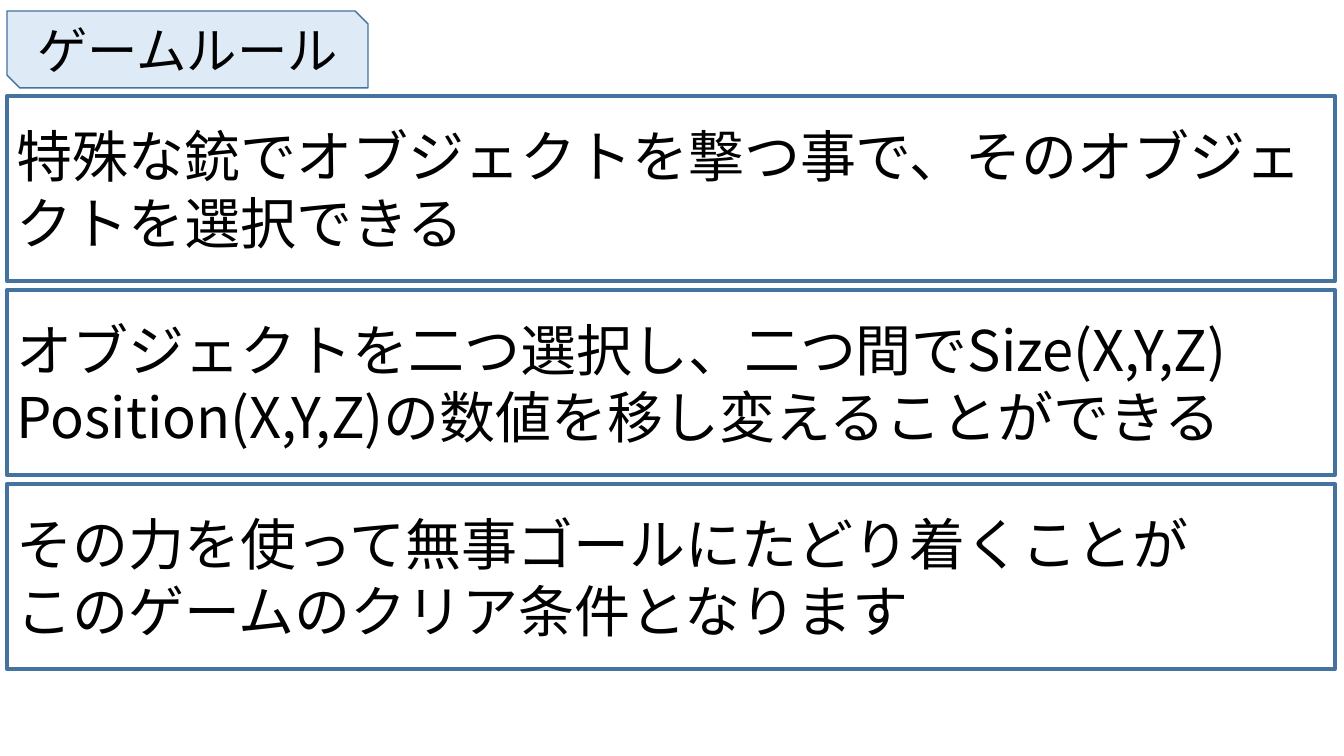
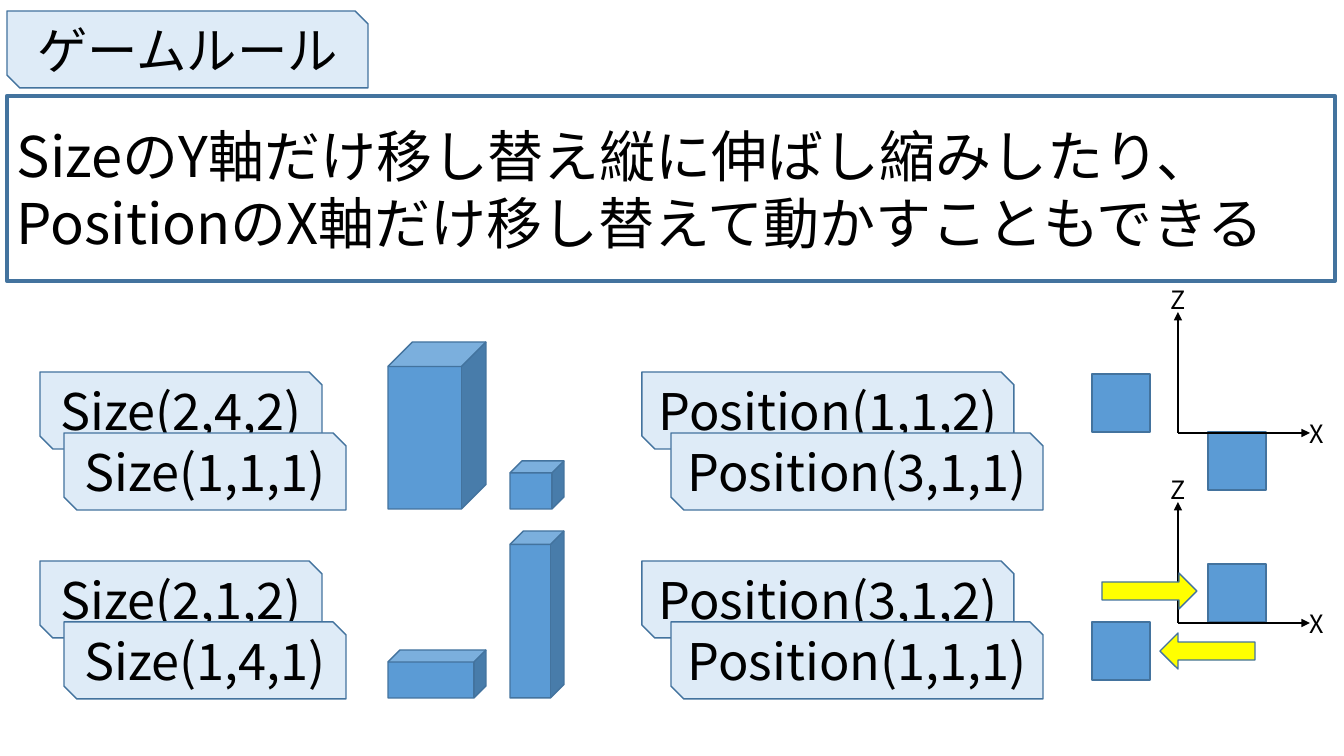
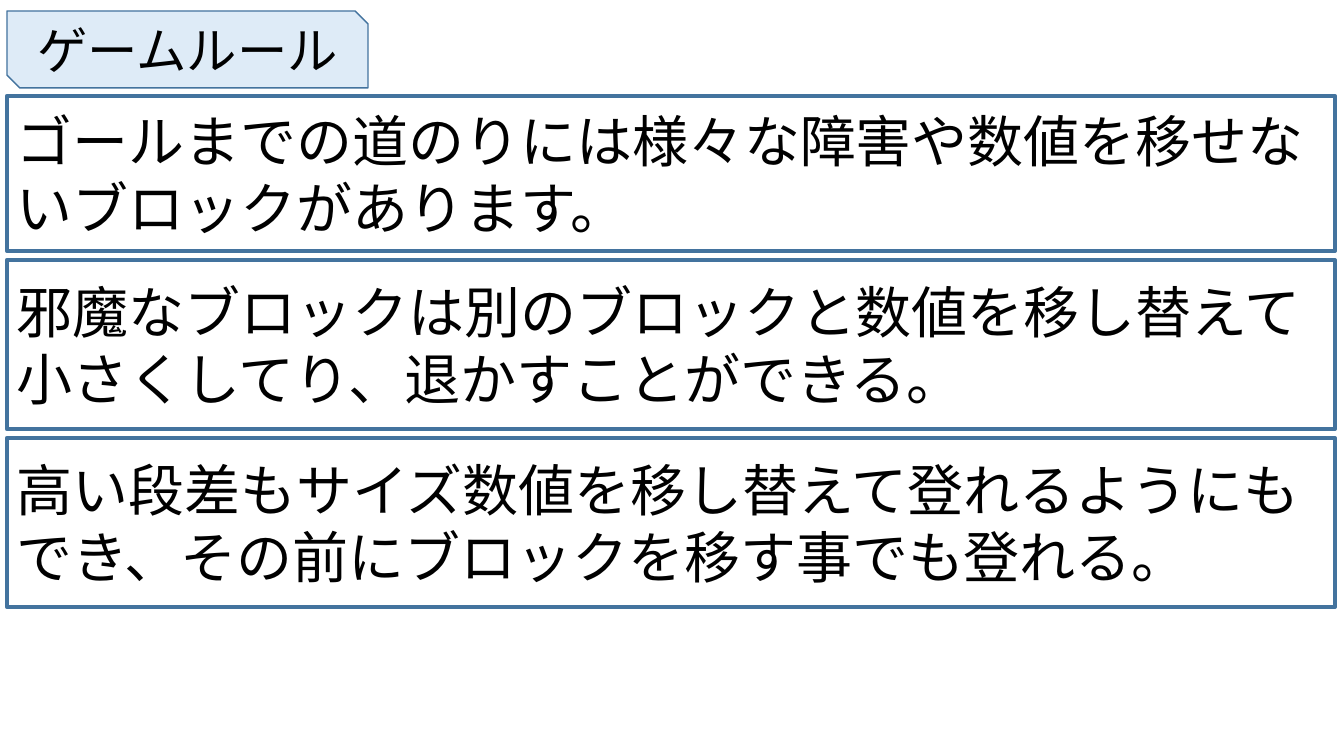
import pptx
import pptx.util
import pptx.dml.color
import pptx.enum.shapes
import pptx.enum.text
import pptx.oxml.ns
import lxml.etree

MSO = pptx.enum.shapes.MSO_SHAPE
ALIGN = pptx.enum.text.PP_ALIGN
MIDDLE = pptx.enum.text.MSO_ANCHOR.MIDDLE
qn = pptx.oxml.ns.qn

# Shared style
FONT = "Noto Sans CJK JP"
WHITE, BLACK, PALE, BLUE, EDGE, YELLOW = (
    "FFFFFF", "000000", "DEEBF7", "5B9BD5", "43739E", "FFFF00")
TITLE = "ゲームルール"
TITLE_BOX = (7, 11, 361, 77)
PANEL_LEFT, PANEL_TOP, PANEL_W, PANEL_GAP = 7, 96, 1328, 9
TAG_H, TAG_DROP = 77, 61


def px(n):
    return pptx.util.Emu(round(n * 914400 / 100.8))


def rgb(color):
    return pptx.dml.color.RGBColor.from_string(color)


def set_text(sp, lines, size, align):
    tf = sp.text_frame
    tf.text = "\n".join(lines)
    for p in tf.paragraphs:
        p.alignment = align
        p.font.size = pptx.util.Pt(size)
        p.font.name = FONT
        p.font.color.rgb = rgb(BLACK)
        for r in p.runs:
            ea = lxml.etree.SubElement(r.font._element, qn("a:ea"))
            ea.set("typeface", FONT)
    return tf


def add_box(s, kind, box, fill, weight=1):
    sp = s.shapes.add_shape(kind, *map(px, box))
    sp.shadow.inherit = False
    sp.fill.solid()
    sp.fill.fore_color.rgb = rgb(fill)
    sp.line.color.rgb = rgb(EDGE)
    sp.line.width = pptx.util.Pt(weight)
    return sp


def add_tag(s, text, box):
    sp = add_box(s, MSO.SNIP_2_DIAG_RECTANGLE, box, PALE)
    tf = set_text(sp, [text], 36, ALIGN.CENTER)
    tf.vertical_anchor = MIDDLE


def add_arrow(s, x1, y1, x2, y2):
    cn = s.shapes.add_connector(
        pptx.enum.shapes.MSO_CONNECTOR.STRAIGHT, *map(px, (x1, y1, x2, y2)))
    cn.line.color.rgb = rgb(BLACK)
    cn.line.width = pptx.util.Pt(2)
    lxml.etree.SubElement(cn.line._get_or_add_ln(), qn("a:tailEnd")).set("type", "triangle")
    lxml.etree.SubElement(cn._element.spPr, qn("a:effectLst"))


def add_label(s, text, x, y):
    sp = s.shapes.add_textbox(*map(px, (x, y, 33, 40)))
    set_text(sp, [text], 18, ALIGN.LEFT)


def add_rule_slide(prs, panels):
    """Title tab and stacked panels, each given as (height, lines)."""
    s = prs.slides.add_slide(prs.slide_layouts[5])
    title = s.shapes.title
    title.left, title.top, title.width, title.height = map(px, TITLE_BOX)
    tf = set_text(title, [TITLE], 36, ALIGN.CENTER)
    tf.auto_size = pptx.enum.text.MSO_AUTO_SIZE.NONE
    tf.vertical_anchor = MIDDLE
    # The tab goes behind the title
    tab = add_box(s, MSO.SNIP_2_DIAG_RECTANGLE, TITLE_BOX, PALE)
    title._element.addprevious(tab._element)

    top = PANEL_TOP
    for height, lines in panels:
        sp = add_box(s, MSO.RECTANGLE, (PANEL_LEFT, top, PANEL_W, height), WHITE, 3)
        tf = set_text(sp, lines, 40, ALIGN.LEFT)
        tf.word_wrap = True
        tf.vertical_anchor = MIDDLE
        top += height + PANEL_GAP
    return s


def add_tag_pair(s, texts, x, y, width, shift):
    for i, text in enumerate(texts):
        add_tag(s, text, (x + i * shift, y + i * TAG_DROP, width, TAG_H))


def add_cubes(s, x, bottom, heights):
    for dx, width, height in zip((0, 122), (98, 54), heights):
        add_box(s, MSO.CUBE, (x + dx, bottom - height, width, height), BLUE)


def add_axes(s, x, y, left_up, swapped):
    """X and Z axes from origin (x, y), with a block on each side."""
    side = 58
    for dx, up in ((-86, left_up), (30, not left_up)):
        add_box(s, MSO.RECTANGLE, (x + dx, y - 1 - side * up, side, side), BLUE)
    add_arrow(s, x, y, x, y - 121)
    add_arrow(s, x, y, x + 132, y)
    add_label(s, "Z", x - 17, y - 154)
    add_label(s, "X", x + 122, y - 20)
    if swapped:
        for dx, dy, turn in ((-76, -50, 0), (-18, 10, 180)):
            sp = add_box(s, MSO.RIGHT_ARROW, (x + dx, y + dy, 95, 36), YELLOW)
            sp.rotation = turn


prs = pptx.Presentation()
prs.slide_width, prs.slide_height = px(1344), px(756)

# Slide 1: basic rules
add_rule_slide(prs, [
    (185, ["特殊な銃でオブジェクトを撃つ事で、そのオブジェクトを選択できる"]),
    (185, ["オブジェクトを二つ選択し、二つ間でSize(X,Y,Z) Position(X,Y,Z)の数値を移し変えることができる"]),
    (185, ["その力を使って無事ゴールにたどり着くことが", "このゲームのクリア条件となります"]),
])

# Slide 2: values before and after the swap
s = add_rule_slide(prs, [
    (185, ["SizeのY軸だけ移し替え縦に伸ばし縮みしたり、",
           "PositionのX軸だけ移し替えて動かすこともできる"]),
])
ROWS = [
    (("Size(2,4,2)", "Size(1,1,1)"), (167, 48), ("Position(1,1,2)", "Position(3,1,1)")),
    (("Size(2,1,2)", "Size(1,4,1)"), (48, 167), ("Position(3,1,2)", "Position(1,1,1)")),
]
for i, (sizes, heights, positions) in enumerate(ROWS):
    top = 372 + 189 * i
    add_tag_pair(s, sizes, 40, top, 282, 24)
    add_cubes(s, 388, top + 137, heights)
    add_tag_pair(s, positions, 642, top, 372, 29)
    add_axes(s, 1178, 433 + 190 * i, left_up=i == 0, swapped=i == 1)

# Slide 3: obstacles
add_rule_slide(prs, [
    (155, ["ゴールまでの道のりには様々な障害や数値を移せないブロックがあります。"]),
    (169, ["邪魔なブロックは別のブロックと数値を移し替えて小さくしてり、退かすことができる。"]),
    (169, ["高い段差もサイズ数値を移し替えて登れるようにもでき、その前にブロックを移す事でも登れる。"]),
])

prs.save("out.pptx")
